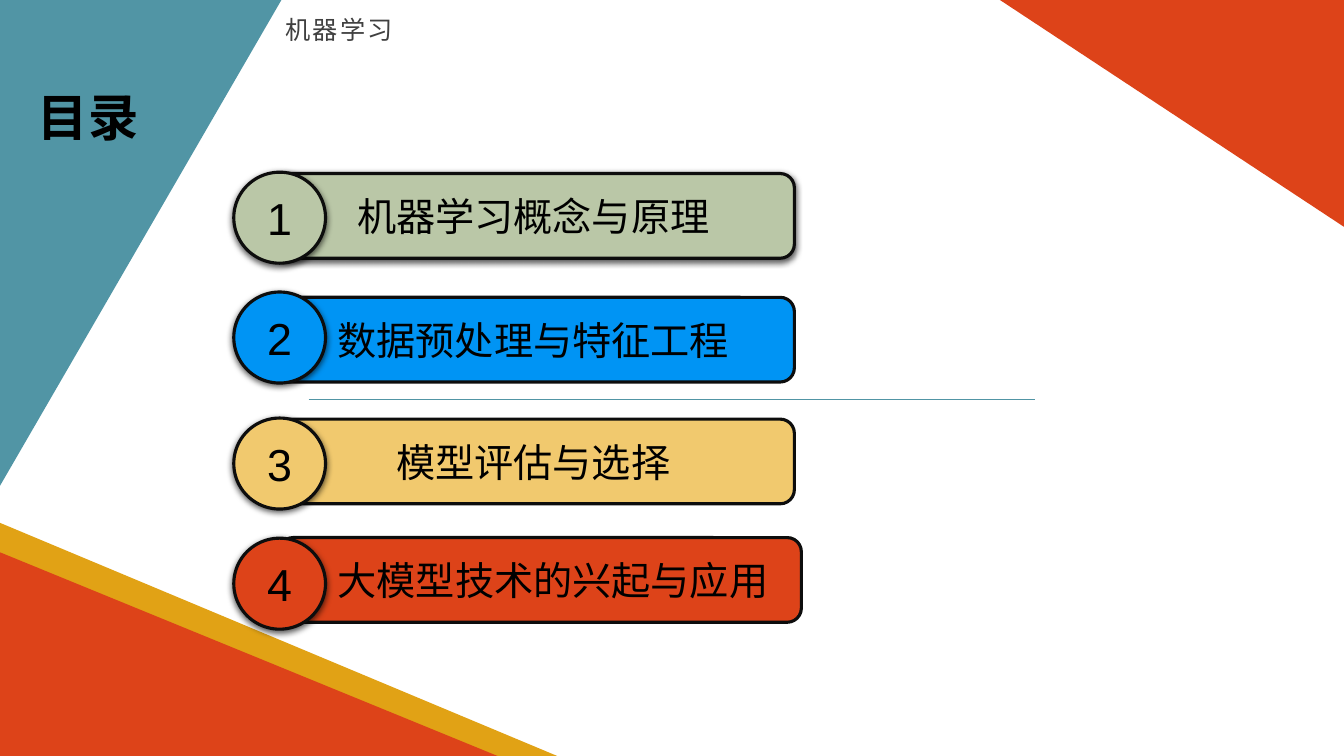
from lxml import etree
from pptx import Presentation
from pptx.dml.color import RGBColor
from pptx.enum.shapes import MSO_CONNECTOR, MSO_SHAPE
from pptx.enum.text import MSO_ANCHOR, PP_ALIGN
from pptx.oxml.ns import qn
from pptx.util import Pt

ROUNDED = MSO_SHAPE.ROUNDED_RECTANGLE
OVAL = MSO_SHAPE.OVAL
STRAIGHT = MSO_CONNECTOR.STRAIGHT
CENTER = PP_ALIGN.CENTER
LEFT = PP_ALIGN.LEFT
MIDDLE = MSO_ANCHOR.MIDDLE

TEAL = RGBColor(0x51, 0x95, 0xA5)
RED = RGBColor(0xDD, 0x43, 0x19)
GOLD = RGBColor(0xE1, 0xA2, 0x15)
SAGE = RGBColor(0xBA, 0xC7, 0xA7)
BLUE = RGBColor(0x00, 0x94, 0xF4)
SAND = RGBColor(0xF1, 0xC9, 0x6E)
BLACK = RGBColor(0, 0, 0)
OUTLINE = RGBColor(0x0D, 0x0D, 0x0D)
GRAY = RGBColor(0x40, 0x40, 0x40)

LATIN = "Arial"
CHINESE = "Noto Sans CJK SC"

SLIDE_WIDTH, SLIDE_HEIGHT = 960, 540
COURSE = "机器学习"
TITLE = "目录"
CORNERS = [
    (RED, [(960, 162), (960, 0), (714.3, 0)]),
    (GOLD, [(0, 373.5), (0, 540), (398, 540)]),
    (RED, [(0, 394.5), (0, 540), (355.5, 540)]),
    (TEAL, [(0, 347), (0, 0), (201, 0)]),
]
# label, colour, bar left, bar top, circle top, bar shadow, left inset
CHAPTERS = [
    ("机器学习概念与原理", SAGE, 194.4, 124, 123, True, 7.2),
    ("数据预处理与特征工程", BLUE, 194.4, 212.4, 208.6, False, 7.2),
    ("模型评估与选择", SAND, 194.4, 299.4, 298.6, False, 7.2),
    ("大模型技术的兴起与应用", RED, 199.4, 384, 384.4, False, 25.2),
]
BAR_WIDTH, BAR_HEIGHT = 373, 60.5
CIRCLE_LEFT, CIRCLE_WIDTH, CIRCLE_HEIGHT = 167, 65.5, 65


def write(shape, text, size, font_name, color, align=CENTER):
    shape.text_frame.text = text
    paragraph = shape.text_frame.paragraphs[0]
    paragraph.alignment = align
    run = paragraph.runs[0]
    run.font.size = Pt(size)
    run.font.name = font_name
    run.font.color.rgb = color
    east_asian = etree.SubElement(run.font._element, qn("a:ea"))
    east_asian.set("typeface", CHINESE)
    return paragraph


def add_shadow(shape):
    effects = shape._element.spPr.find(qn("a:effectLst"))
    shadow = etree.SubElement(effects, qn("a:outerShdw"), blurRad=str(Pt(4.5)),
                              dist=str(Pt(1.5)), dir="5400000", rotWithShape="0")
    color = etree.SubElement(shadow, qn("a:srgbClr"), val="000000")
    etree.SubElement(color, qn("a:alpha"), val="63000")


def add_button(slide, kind, box, color, text, size, font_name, shadowed):
    shape = slide.shapes.add_shape(kind, *map(Pt, box))
    shape.fill.solid()
    shape.fill.fore_color.rgb = color
    shape.line.color.rgb = OUTLINE
    shape.line.width = Pt(2.25)
    shape.shadow.inherit = False
    if shadowed:
        add_shadow(shape)
    shape.text_frame.vertical_anchor = MIDDLE
    write(shape, text, size, font_name, BLACK)
    return shape


def add_corner(slide, color, points):
    start, *others = [(Pt(x), Pt(y)) for x, y in points]
    builder = slide.shapes.build_freeform(*start)
    builder.add_line_segments(others, close=True)
    shape = builder.convert_to_shape()
    shape.fill.solid()
    shape.fill.fore_color.rgb = color
    shape.line.fill.background()
    shape.shadow.inherit = False


def add_text(slide, box, text, size, font_name, color, align):
    shape = slide.shapes.add_textbox(*map(Pt, box))
    shape.text_frame.word_wrap = True
    return write(shape, text, size, font_name, color, align)


def main():
    presentation = Presentation()
    presentation.slide_width = Pt(SLIDE_WIDTH)
    presentation.slide_height = Pt(SLIDE_HEIGHT)
    slide = presentation.slides.add_slide(presentation.slide_layouts[6])

    for color, points in CORNERS:
        add_corner(slide, color, points)

    divider = slide.shapes.add_connector(STRAIGHT, Pt(220.5), Pt(285), Pt(739.5), Pt(285))
    divider.line.color.rgb = TEAL
    divider.line.width = Pt(0.5)
    etree.SubElement(divider._element.spPr, qn("a:effectLst"))

    course = add_text(slide, (-37.5, 0, 559.5, 40), COURSE, 18, LATIN, GRAY, CENTER)
    course.line_spacing = 1.3
    course.space_after = Pt(10)
    course.runs[0].font._element.set("spc", "150")

    title = add_text(slide, (20, 58.3, 91.5, 51), TITLE, 36, CHINESE, BLACK, LEFT)
    title.runs[0].font.bold = True

    for number, chapter in enumerate(CHAPTERS, 1):
        label, color, bar_left, bar_top, circle_top, bar_shadow, inset = chapter
        bar_box = (bar_left, bar_top, BAR_WIDTH, BAR_HEIGHT)
        bar = add_button(slide, ROUNDED, bar_box, color, label, 28, CHINESE, bar_shadow)
        bar.text_frame.margin_left = Pt(inset)
        circle_box = (CIRCLE_LEFT, circle_top, CIRCLE_WIDTH, CIRCLE_HEIGHT)
        add_button(slide, OVAL, circle_box, color, str(number), 32, LATIN, True)

    presentation.save("out.pptx")


if __name__ == "__main__":
    main()
